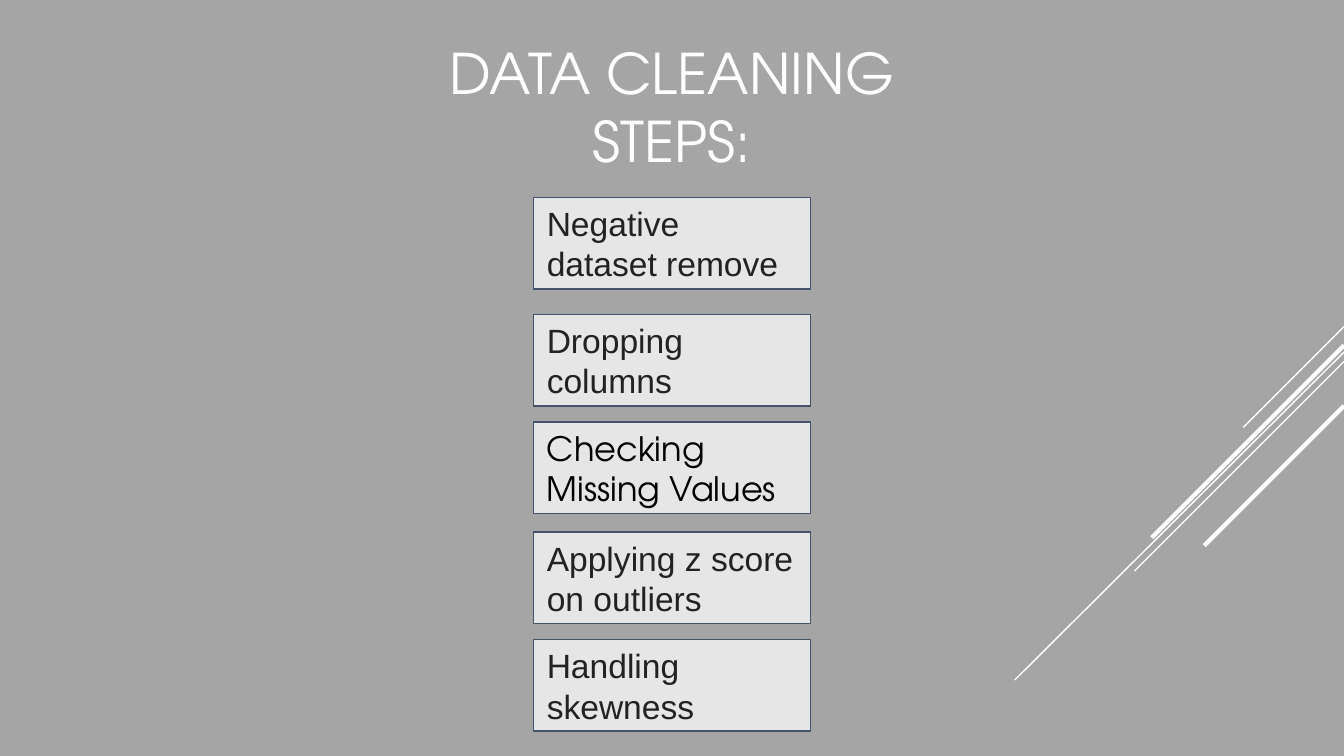
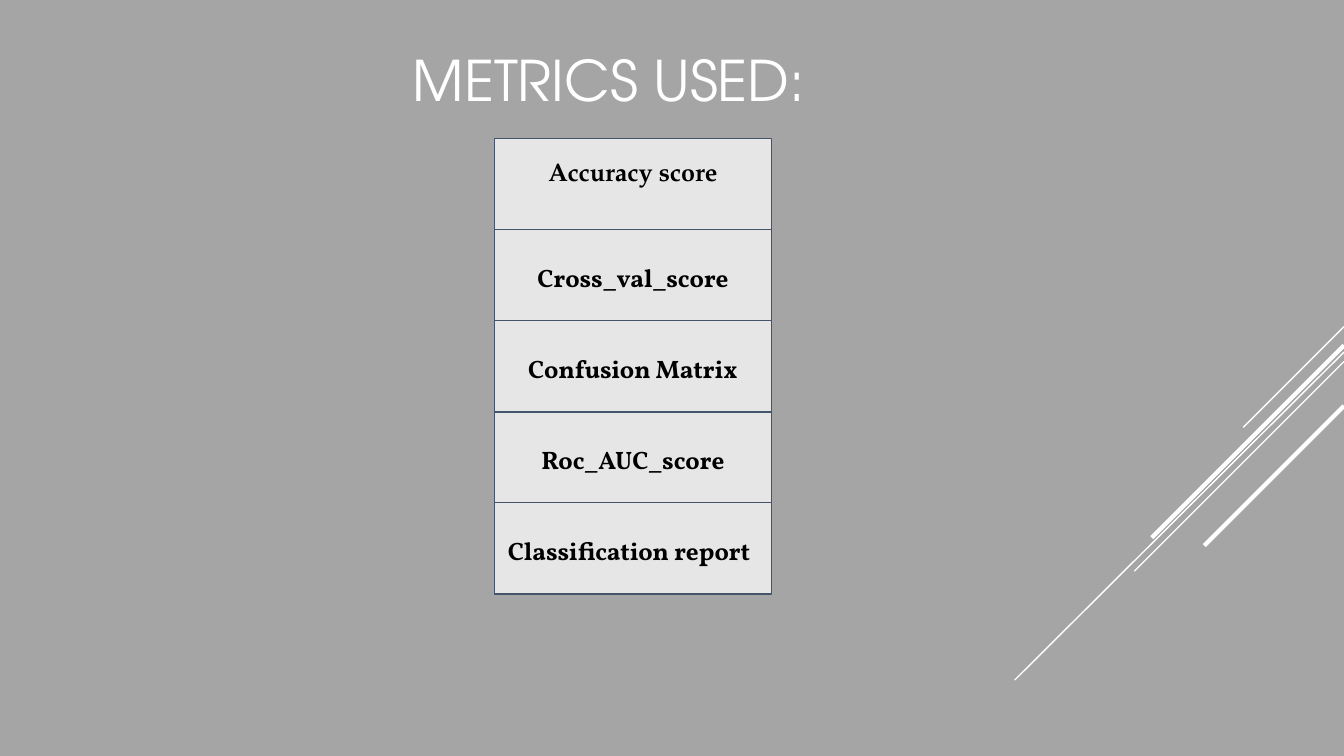
"""Build two slides on data cleaning steps and the metrics used."""
import pptx
import pptx.util
import pptx.dml.color
import pptx.enum.shapes
import pptx.enum.text
import pptx.oxml.ns
import lxml.etree

Inches = pptx.util.Inches
Pt = pptx.util.Pt
RGBColor = pptx.dml.color.RGBColor
ALIGN = pptx.enum.text.PP_ALIGN
ANCHOR = pptx.enum.text.MSO_ANCHOR

GREY = RGBColor(0xA5, 0xA5, 0xA5)
WHITE = RGBColor(0xFF, 0xFF, 0xFF)
PALE = RGBColor(0xE7, 0xE6, 0xE6)
SLATE = RGBColor(0x44, 0x54, 0x6A)
INK = RGBColor(0x22, 0x22, 0x22)
BLACK = RGBColor(0, 0, 0)
SANS = "TeX Gyre Adventor"
SERIF = "Vollkorn"


def write(shape, text, font, para, anchor):
    frame = shape.text_frame
    frame.text = text
    look = dict(word_wrap=True, vertical_anchor=anchor,
                auto_size=pptx.enum.text.MSO_AUTO_SIZE.NONE)
    for side in ("left", "right", "top", "bottom"):
        look["margin_" + side] = Inches(0.1)
    for name, value in look.items():
        setattr(frame, name, value)
    line = frame.paragraphs[0]
    for name, value in para.items():
        setattr(line, name, value)
    run = line.runs[0]
    for name, value in font.items():
        if name == "color":
            run.font.color.rgb = value
        else:
            setattr(run.font, name, value)


def add_box(slide, left, top, text, font, para, anchor):
    box = slide.shapes.add_shape(pptx.enum.shapes.MSO_SHAPE.RECTANGLE,
                                 Inches(left), Inches(top), Inches(2.06), Inches(0.68))
    box.shadow.inherit = False
    box.fill.solid()
    box.fill.fore_color.rgb = PALE
    box.line.color.rgb = SLATE
    box.line.width = Pt(0.75)
    write(box, text, font, para, anchor)


deck = pptx.Presentation()
deck.slide_width = Inches(10)
deck.slide_height = Inches(10) * 9 // 16
layout = deck.slide_layouts[5]
layout.background.fill.solid()
layout.background.fill.fore_color.rgb = GREY

heads = [
    ("DATA CLEANING STEPS:", 2.74, 0.19, 4.52, 0.68, ALIGN.CENTER),
    ("METRICS USED:", 2.97, 0.24, 4.06, 0.66, ALIGN.LEFT),
]
slides = []
for text, left, top, width, height, align in heads:
    slide = deck.slides.add_slide(layout)
    title = slide.shapes.title
    place = dict(left=left, top=top, width=width, height=height)
    for name, value in place.items():
        setattr(title, name, Inches(value))
    write(title, text, dict(name=SANS, size=Pt(30), color=WHITE),
          dict(alignment=align), ANCHOR.TOP)
    slides.append(slide)
steps, metrics = slides

rays = [
    (2.43, 9.25, 3.18, 0.75),
    (2.62, 7.55, 5.06, 0.75),
    (2.69, 8.44, 4.25, 0.75),
    (2.57, 8.57, 4, 2.25),
    (3.02, 8.96, 4.06, 2.25),
]
for start, left, end, weight in rays:
    ray = steps.shapes.add_connector(pptx.enum.shapes.MSO_CONNECTOR.STRAIGHT,
                                     Inches(10), Inches(start), Inches(left), Inches(end))
    ray.line.color.rgb = WHITE
    ray.line.width = Pt(weight)
    lxml.etree.SubElement(ray.element.spPr, pptx.oxml.ns.qn("a:effectLst"))
    layout.shapes.element.append(ray.element)

tasks = [
    (4.76, "Handling skewness", "Arial", INK),
    (3.96, "Applying z score on outliers", "Arial", INK),
    (3.14, "Checking Missing Values", SANS, BLACK),
    (2.34, "Dropping columns", "Arial", INK),
    (1.47, "Negative dataset remove", "Arial", INK),
]
for top, text, face, color in tasks:
    add_box(steps, 3.97, top, text, dict(name=face, size=Pt(18), color=color),
            dict(alignment=ALIGN.LEFT), ANCHOR.MIDDLE)

scores = [
    (3, "Roc_AUC_score", SERIF, ALIGN.CENTER, 6, ANCHOR.MIDDLE),
    (1, "Cross_val_score", SERIF, ALIGN.CENTER, 6, ANCHOR.MIDDLE),
    (2, "Confusion Matrix", SERIF, ALIGN.CENTER, 6, ANCHOR.MIDDLE),
    (4, "Classification report", SERIF, ALIGN.LEFT, 6, ANCHOR.MIDDLE),
    (0, "Accuracy score", "TeX Gyre Pagella", ALIGN.CENTER, 0, ANCHOR.TOP),
]
for row, text, face, align, after, anchor in scores:
    add_box(metrics, 3.68, 1.03 + row * 2.71 / 4, text,
            dict(name=face, size=Pt(13.5), color=BLACK, bold=True),
            dict(alignment=align, line_spacing=1.15, space_after=Pt(after)), anchor)

deck.save("out.pptx")
